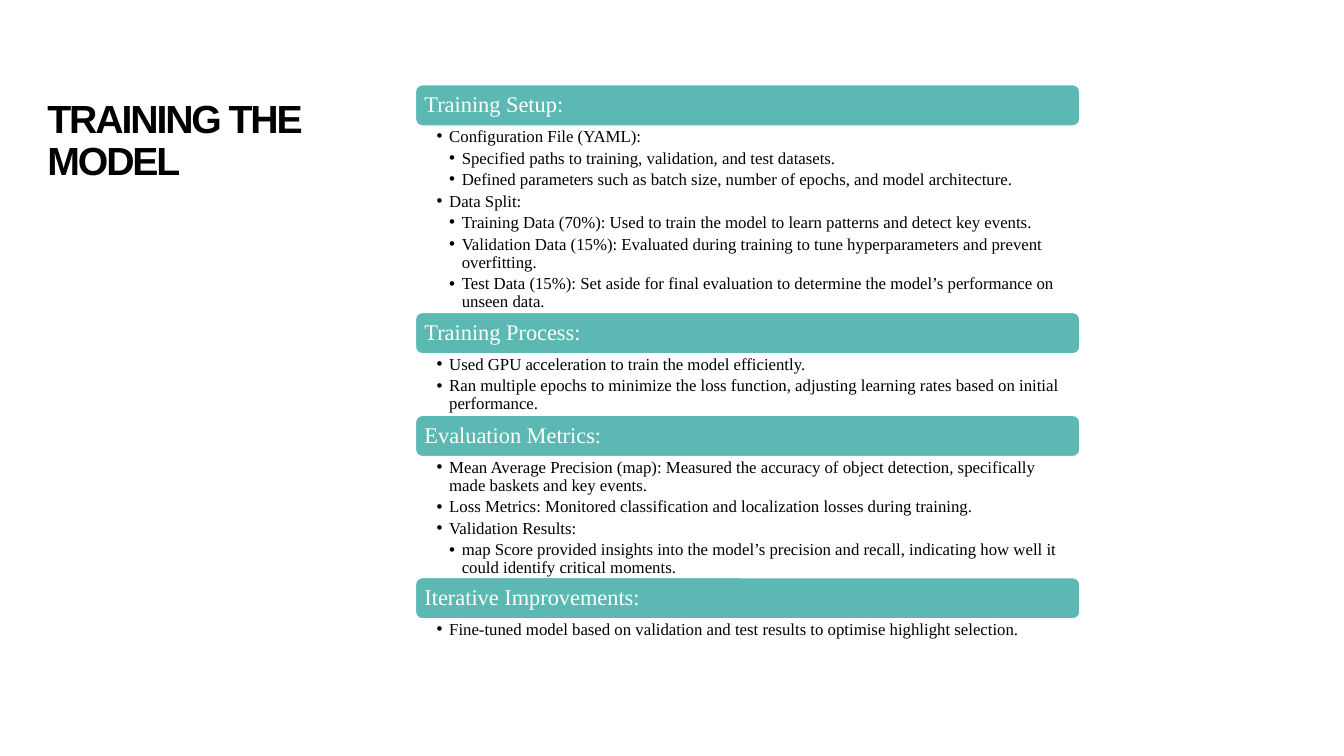
import lxml.etree
import pptx
import pptx.dml.color
import pptx.enum.shapes
import pptx.enum.text
import pptx.oxml.ns
import pptx.util

Inches = pptx.util.Inches
Pt = pptx.util.Pt
ANCHOR = pptx.enum.text.MSO_ANCHOR

TEAL = pptx.dml.color.RGBColor(0x5C, 0xB8, 0xB3)
WHITE = pptx.dml.color.RGBColor(0xFF, 0xFF, 0xFF)
BLACK = pptx.dml.color.RGBColor(0x00, 0x00, 0x00)

COLUMN_LEFT, COLUMN_TOP, COLUMN_WIDTH = 4.12, 0.84, 6.59
HEADING_HEIGHT = 0.41
COMPARISON_LAYOUT = 4  # a title and four body placeholders

# Heading, height of its list, and the list as (level, text)
SECTIONS = [
    ("Training Setup:", 1.85, [
        (1, "Configuration File (YAML):"),
        (2, "Specified paths to training, validation, and test datasets."),
        (2, "Defined parameters such as batch size, number of epochs, and model architecture."),
        (1, "Data Split:"),
        (2, "Training Data (70%): Used to train the model to learn patterns and detect key events."),
        (2, "Validation Data (15%): Evaluated during training to tune hyperparameters and prevent overfitting."),
        (2, "Test Data (15%): Set aside for final evaluation to determine the model’s performance on unseen data."),
    ]),
    ("Training Process:", 0.61, [
        (1, "Used GPU acceleration to train the model efficiently."),
        (1, "Ran multiple epochs to minimize the loss function, adjusting learning rates based on initial performance."),
    ]),
    ("Evaluation Metrics:", 1.2, [
        (1, "Mean Average Precision (map): Measured the accuracy of object detection, specifically made baskets and key events."),
        (1, "Loss Metrics: Monitored classification and localization losses during training."),
        (1, "Validation Results:"),
        (2, "map Score provided insights into the model’s precision and recall, indicating how well it could identify critical moments."),
    ]),
    ("Iterative Improvements:", 0.29, [
        (1, "Fine-tuned model based on validation and test results to optimise highlight selection."),
    ]),
]


def place(shape, left, top, width, height):
    shape.left, shape.top = Inches(left), Inches(top)
    shape.width, shape.height = Inches(width), Inches(height)


def prepare_frame(frame, anchor, insets):
    """Set anchor and the left, top, right and bottom insets in inches."""
    frame.word_wrap = True
    frame.auto_size = pptx.enum.text.MSO_AUTO_SIZE.NONE
    frame.vertical_anchor = anchor
    (frame.margin_left, frame.margin_top,
     frame.margin_right, frame.margin_bottom) = map(Inches, insets)


def write(paragraph, text, *, size, color, font="Times New Roman", bold=False,
          tracking=None, space_after=0):
    paragraph.alignment = pptx.enum.text.PP_ALIGN.LEFT
    paragraph.line_spacing = 0.9
    paragraph.space_before = Pt(0)
    paragraph.space_after = Pt(space_after)
    run = paragraph.add_run()
    run.text = text
    run.font.name = font
    run.font.size = Pt(size)
    run.font.bold = bold
    run.font.color.rgb = color
    if tracking is not None:
        run._r.get_or_add_rPr().set("spc", str(int(tracking * 100)))


def add_bullet(paragraph, level):
    paragraph.level = level
    properties = paragraph._p.get_or_add_pPr()
    properties.set("marL", str(Inches(0.125 * level)))
    properties.set("indent", str(-Inches(0.125)))
    bullet = lxml.etree.SubElement(properties, pptx.oxml.ns.qn("a:buChar"))
    bullet.set("char", "•")


def fill_title(title):
    place(title, 0.47, 0.5, 3.46, 1.75)
    prepare_frame(title.text_frame, ANCHOR.BOTTOM, (0, 0, 0, 0.42))
    write(title.text_frame.paragraphs[0], "TRAINING THE MODEL", size=28,
          color=BLACK, font="Arial", bold=True, tracking=-1.5)


def add_heading(slide, text, top):
    bar = slide.shapes.add_shape(
        pptx.enum.shapes.MSO_SHAPE.ROUNDED_RECTANGLE, Inches(COLUMN_LEFT),
        Inches(top), Inches(COLUMN_WIDTH), Inches(HEADING_HEIGHT))
    bar.shadow.inherit = False
    bar.fill.solid()
    bar.fill.fore_color.rgb = TEAL
    bar.line.color.rgb = WHITE
    bar.line.width = Pt(1)
    prepare_frame(bar.text_frame, ANCHOR.MIDDLE, (0.07, 0.05, 0.07, 0.05))
    write(bar.text_frame.paragraphs[0], text, size=16, color=WHITE)


def fill_list(body, items, top, height):
    place(body, COLUMN_LEFT, top, COLUMN_WIDTH, height)
    frame = body.text_frame
    prepare_frame(frame, ANCHOR.TOP, (0.21, 0.02, 0.12, 0.02))
    for index, (level, text) in enumerate(items):
        paragraph = frame.add_paragraph() if index else frame.paragraphs[0]
        write(paragraph, text, size=12, color=BLACK, space_after=2.4)
        add_bullet(paragraph, level)


def main():
    presentation = pptx.Presentation()
    presentation.slide_width = Inches(13.33)
    presentation.slide_height = Inches(7.5)
    layout = presentation.slide_layouts[COMPARISON_LAYOUT]
    slide = presentation.slides.add_slide(layout)

    fill_title(slide.shapes.title)
    bodies = list(slide.placeholders)[1:]
    top = COLUMN_TOP
    for body, (heading, list_height, items) in zip(bodies, SECTIONS):
        add_heading(slide, heading, top)
        fill_list(body, items, top + HEADING_HEIGHT, list_height)
        top += HEADING_HEIGHT + list_height

    presentation.save("out.pptx")


if __name__ == "__main__":
    main()
